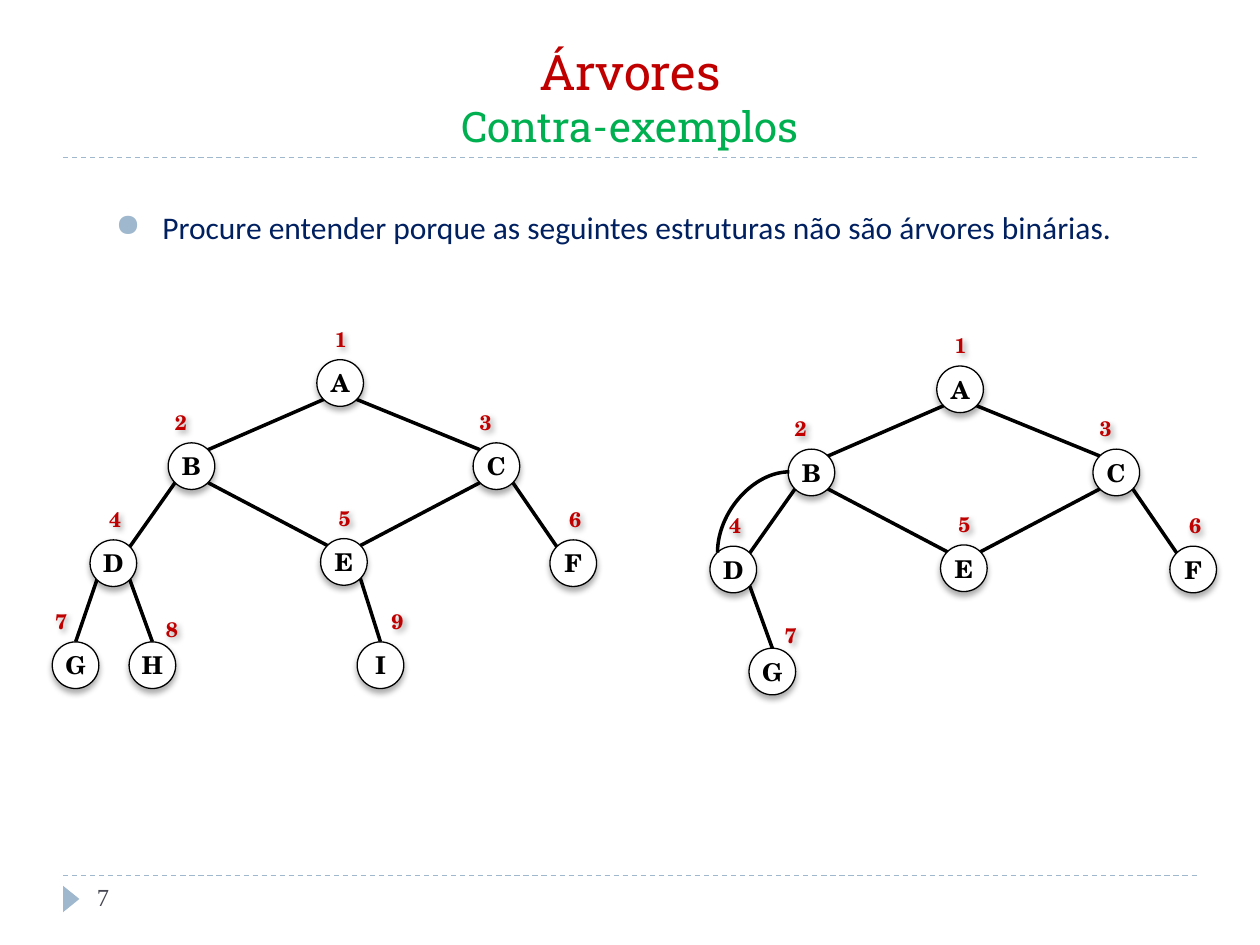
from typing import NamedTuple

from lxml.etree import SubElement
from pptx import Presentation
from pptx.dml.color import RGBColor
from pptx.enum.dml import MSO_LINE_DASH_STYLE as Dash
from pptx.enum.shapes import MSO_CONNECTOR as Connector, MSO_SHAPE as Shape
from pptx.enum.text import MSO_ANCHOR as Anchor, MSO_AUTO_SIZE as AutoSize, PP_ALIGN as Align
from pptx.oxml.ns import qn
from pptx.util import Inches, Pt

SERIF = "TeX Gyre Schola"
RED, BLACK, PALE_BLUE = "C00000", "000000", "9FB8CD"
NODE_SIZE = 0.37
CORNER = 0.13  # offset from a node's centre to its diagonal edge points
LEAF_Y = 5.28


class Node(NamedTuple):
    name: str
    number: str
    x: float  # centre
    y: float
    label_dx: float = 0
    label_dy: float = -0.35


def color(value: str) -> RGBColor:
    return RGBColor.from_string(value)


def add_span(para, text: str, *, size: float, font: str, fill: str, bold: bool = False) -> None:
    span = para.add_run()
    span.text = text
    span.font.size = Pt(size)
    span.font.name = font
    span.font.bold = bold
    span.font.color.rgb = color(fill)


def add_text(shapes, text: str, left: float, top: float, width: float, height: float, *,
             align=Align.LEFT, anchor=Anchor.TOP, **style):
    box = shapes.add_textbox(Inches(left), Inches(top), Inches(width), Inches(height))
    box.text_frame.word_wrap = True
    box.text_frame.vertical_anchor = anchor
    para = box.text_frame.paragraphs[0]
    para.alignment = align
    add_span(para, text, **style)
    return box


def add_line(shapes, start: tuple, end: tuple, *, fill: str = BLACK, width: float = 2,
             kind=Connector.STRAIGHT):
    points = [Inches(value) for value in (*start, *end)]
    line = shapes.add_connector(kind, *points)
    line.line.color.rgb = color(fill)
    line.line.width = Pt(width)
    SubElement(line._element.spPr, qn("a:effectLst"))
    return line


def add_shadow(shape, degrees: int) -> None:
    shape.shadow.inherit = False
    effects = shape._element.spPr.find(qn("a:effectLst"))
    shadow = SubElement(effects, qn("a:outerShdw"), blurRad=str(Pt(3.5)), dist=str(Pt(2.2)),
                        dir=str(degrees * 60000), algn="ctr", rotWithShape="0")
    tint = SubElement(shadow, qn("a:srgbClr"), val=BLACK)
    SubElement(tint, qn("a:alpha"), val="32000")


def add_node(shapes, node: Node, dx: float, dy: float) -> None:
    x, y = node.x + dx, node.y + dy
    circle = shapes.add_shape(Shape.OVAL, Inches(x - NODE_SIZE / 2), Inches(y - NODE_SIZE / 2),
                              Inches(NODE_SIZE), Inches(NODE_SIZE))
    circle.fill.solid()
    circle.fill.fore_color.rgb = color("FFFFFF")
    circle.line.color.rgb = color(BLACK)
    circle.line.width = Pt(0.75)
    add_shadow(circle, 90)
    frame = circle.text_frame
    frame.margin_left = frame.margin_right = frame.margin_top = frame.margin_bottom = 0
    frame.vertical_anchor = Anchor.MIDDLE
    frame.paragraphs[0].alignment = Align.CENTER
    add_span(frame.paragraphs[0], node.name, size=14, font=SERIF, fill=BLACK, bold=True)
    label = add_text(shapes, node.number, x + node.label_dx - 0.2, y + node.label_dy - 0.15,
                     0.41, 0.3, align=Align.CENTER, anchor=Anchor.MIDDLE,
                     size=12, font=SERIF, fill=RED, bold=True)
    add_shadow(label, 45)


def add_tree(page, nodes: list[Node], edges: list[str], dx: float = 0, dy: float = 0):
    group = page.shapes.add_group_shape()
    by_name = {node.name: node for node in nodes}
    for first, second in edges:
        parent, child = by_name[first], by_name[second]
        side = CORNER if child.x > parent.x else -CORNER
        start = (parent.x + side + dx, parent.y + CORNER + dy)
        if child.y == LEAF_Y:  # leaves are joined at the top
            end = (child.x + dx, child.y - NODE_SIZE / 2 + dy)
        else:
            end = (child.x - side + dx, child.y - CORNER + dy)
        add_line(group.shapes, start, end)
    for node in nodes:
        add_node(group.shapes, node, dx, dy)
    return group


deck = Presentation()
deck.slide_width, deck.slide_height = Inches(10), Inches(7.5)
page = deck.slides.add_slide(deck.slide_layouts[5])

# Rules and corner marker
for y in (6.95, 1.25):
    rule = add_line(page.shapes, (0.5, y), (9.5, y), fill=PALE_BLUE, width=0.75)
    rule.line.dash_style = Dash.DASH
marker = page.shapes.add_shape(Shape.ISOSCELES_TRIANGLE, Inches(0.46), Inches(7.07),
                               Inches(0.21), Inches(0.13))
marker.rotation = 90
marker.fill.solid()
marker.fill.fore_color.rgb = color(PALE_BLUE)
marker.line.fill.background()
marker.shadow.inherit = False

# Title
title = page.shapes.title
title.left, title.top, title.width, title.height = Inches(0.5), Inches(0.25), Inches(9), Inches(1)
title.text_frame.auto_size = AutoSize.NONE
title.text_frame.vertical_anchor = Anchor.BOTTOM
para = title.text_frame.paragraphs[0]
para.alignment = Align.CENTER
add_span(para, "Árvores", size=28, font="Roboto Slab", fill=RED)
para.add_line_break()
add_span(para, "Contra-exemplos", size=24, font="Roboto Slab", fill="00B050")

# Page number and bullet
add_text(page.shapes, "7", 0.67, 6.95, 2.17, 0.4,
         size=14, font="Times New Roman", fill="464653")
body = add_text(page.shapes,
                "Procure entender porque as seguintes estruturas não são árvores binárias.",
                0.82, 1.6, 8.5, 0.79, align=Align.JUSTIFY,
                size=18, font="Calibri", fill="002060")
props = body.text_frame.paragraphs[0]._p.get_or_add_pPr()
props.set("marL", str(Inches(0.37)))
props.set("indent", str(-Inches(0.37)))
SubElement(SubElement(props, qn("a:buClr")), qn("a:srgbClr"), val=PALE_BLUE)
SubElement(props, qn("a:buChar"), char="●")

# Both structures share the upper nodes and edges
upper_nodes = [
    Node("A", "1", 2.7, 3.04),
    Node("B", "2", 1.52, 3.7, -0.09),
    Node("C", "3", 3.94, 3.7, -0.09),
    Node("D", "4", 0.9, 4.47, 0.01),
    Node("E", "5", 2.73, 4.46),
    Node("F", "6", 4.55, 4.47, 0.01),
]
upper_edges = ["AB", "AC", "BD", "BE", "CE", "CF"]
add_tree(page, upper_nodes + [
    Node("G", "7", 0.6, LEAF_Y, -0.12),
    Node("H", "8", 1.21, LEAF_Y, 0.15, -0.29),
    Node("I", "9", 3.02, LEAF_Y, 0.13),
], upper_edges + ["DG", "DH", "EI"])
second = add_tree(page, upper_nodes + [Node("G", "7", 1.21, LEAF_Y, 0.14, -0.29)],
                  upper_edges + ["DG"], dx=4.92, dy=0.05)

# Extra curved edge from D back to B
curve = add_line(second.shapes, (5.66, 3.78), (6.3, 4.35), kind=Connector.CURVE)
curve._element.spPr.find(qn("a:prstGeom")).set("prst", "curvedConnector2")
curve._element.spPr.find(qn("a:xfrm")).set("rot", str(270 * 60000))

deck.save("out.pptx")
